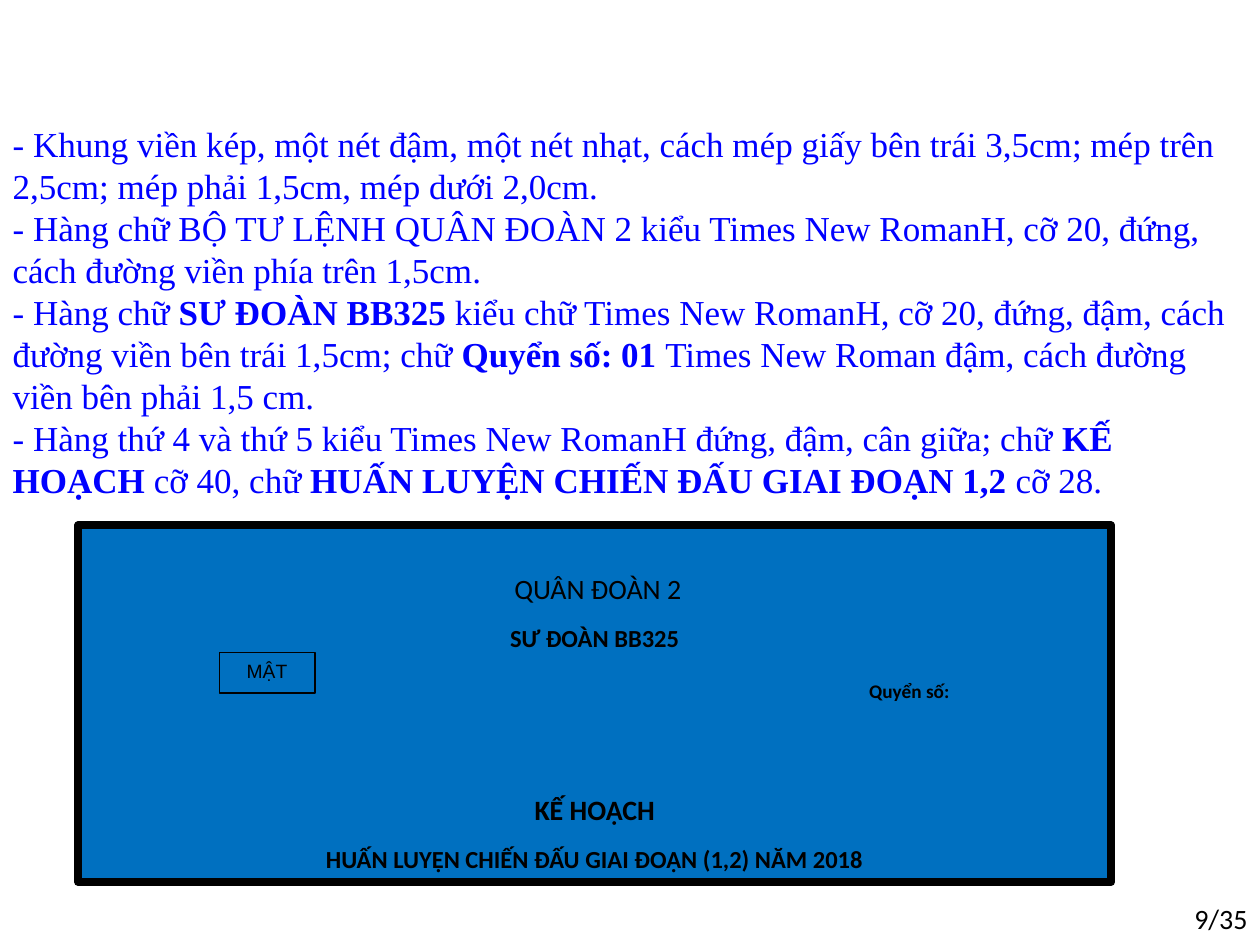
import pptx
import pptx.util
import pptx.dml.color
import pptx.enum.shapes
import pptx.enum.text
import lxml.etree

Inches, Pt = pptx.util.Inches, pptx.util.Pt
ALIGN = pptx.enum.text.PP_ALIGN
ANCHOR = pptx.enum.text.MSO_ANCHOR
COLORS = {"rule": "0000FF", "cover": "0070C0", "ink": "000000"}

RULES = [
    [("- Khung viền kép, một nét đậm, một nét nhạt, cách mép giấy bên trái 3,5cm; "
      "mép trên 2,5cm; mép phải 1,5cm, mép dưới 2,0cm.", False)],
    [("- Hàng chữ BỘ TƯ LỆNH QUÂN ĐOÀN 2 kiểu Times New RomanH, cỡ 20, đứng, "
      "cách đường viền phía trên 1,5cm.", False)],
    [("- Hàng chữ ", False), ("SƯ ĐOÀN BB325 ", True),
     ("kiểu chữ Times New RomanH, cỡ 20, đứng, đậm, cách đường viền bên trái 1,5cm; chữ ", False),
     ("Quyển số: 01 ", True),
     ("Times New Roman đậm, cách đường viền bên phải 1,5 cm.", False)],
    [("- Hàng thứ 4 và thứ 5 kiểu Times New RomanH đứng, đậm, cân giữa; chữ ", False),
     ("KẾ HOẠCH ", True), ("cỡ 40, chữ ", False),
     ("HUẤN LUYỆN CHIẾN ĐẤU GIAI ĐOẠN 1,2 ", True), ("cỡ 28.", False)],
]
# text, size, bold, space before, left indent
COVER_LINES = [
    (" QUÂN ĐOÀN 2", 16, False, 0, 0),
    ("SƯ ĐOÀN BB325", 14, True, 0, 0),
    ("Quyển số:", 11, True, 5, 6.18),
    ("KẾ HOẠCH", 16, True, 42, 0),
    ("HUẤN LUYỆN CHIẾN ĐẤU GIAI ĐOẠN (1,2) NĂM 2018", 14, True, 0, 0),
]
SECRECY = "MẬT"
PAGE = "9/35"


def rgb(name):
    return pptx.dml.color.RGBColor.from_string(COLORS[name])


def style(paragraph, size, face, color, align, bold=None):
    paragraph.alignment = align
    font = paragraph.font
    font.size, font.name, font.bold = Pt(size), face, bold
    font.color.rgb = rgb(color)


def paragraphs(frame, items):
    for index, item in enumerate(items):
        yield (frame.add_paragraph() if index else frame.paragraphs[0]), item


def framed_box(left, top, width, height, line_width):
    box = slide.shapes.add_shape(
        pptx.enum.shapes.MSO_SHAPE.RECTANGLE,
        Inches(left), Inches(top), Inches(width), Inches(height))
    box.shadow.inherit = False
    box.fill.solid()
    box.fill.fore_color.rgb = rgb("cover")
    box.line.color.rgb = rgb("ink")
    box.line.width = Pt(line_width)
    box.text_frame.vertical_anchor = ANCHOR.TOP
    return box


deck = pptx.Presentation()
deck.slide_width, deck.slide_height = Inches(10), Inches(7.5)
slide = deck.slides.add_slide(deck.slide_layouts[1])
title = slide.shapes.title.element
title.getparent().remove(title)

rules = slide.placeholders[1]
rules.left, rules.top, rules.width, rules.height = map(Inches, (0, 0.92, 10, 3.13))
rules.text_frame.auto_size = pptx.enum.text.MSO_AUTO_SIZE.NONE
rules.text_frame.vertical_anchor = ANCHOR.TOP
for paragraph, parts in paragraphs(rules.text_frame, RULES):
    style(paragraph, 20, "Times New Roman", "rule", ALIGN.LEFT)
    paragraph.space_before = Pt(0)
    properties = paragraph._p.get_or_add_pPr()
    properties.set("marL", "0")
    properties.set("indent", "0")
    bullet = lxml.etree.Element(pptx.oxml.ns.qn("a:buNone"))
    properties.find(pptx.oxml.ns.qn("a:defRPr")).addprevious(bullet)
    for text, bold in parts:
        run = paragraph.add_run()
        run.text, run.font.bold = text, bold

cover = framed_box(0.62, 4.17, 8.2, 2.83, 4.5)
cover.text_frame.margin_top = Inches(0.37)
for paragraph, (text, size, bold, before, indent) in paragraphs(cover.text_frame, COVER_LINES):
    paragraph.text = text
    style(paragraph, size, "Calibri", "ink", ALIGN.LEFT if indent else ALIGN.CENTER, bold)
    paragraph.space_before, paragraph.space_after = Pt(before), Pt(10)
    paragraph._p.get_or_add_pPr().set("marL", str(Inches(indent)))

stamp = framed_box(1.74, 5.18, 0.76, 0.32, 0.75).text_frame
stamp.text = SECRECY
style(stamp.paragraphs[0], 11, "Arial", "ink", ALIGN.CENTER)

page = slide.shapes.add_textbox(Inches(9), Inches(7.11), Inches(1), Inches(0.4)).text_frame
page.word_wrap = True
page.text = PAGE
style(page.paragraphs[0], 16, "Calibri", "ink", ALIGN.RIGHT)

deck.save("out.pptx")
